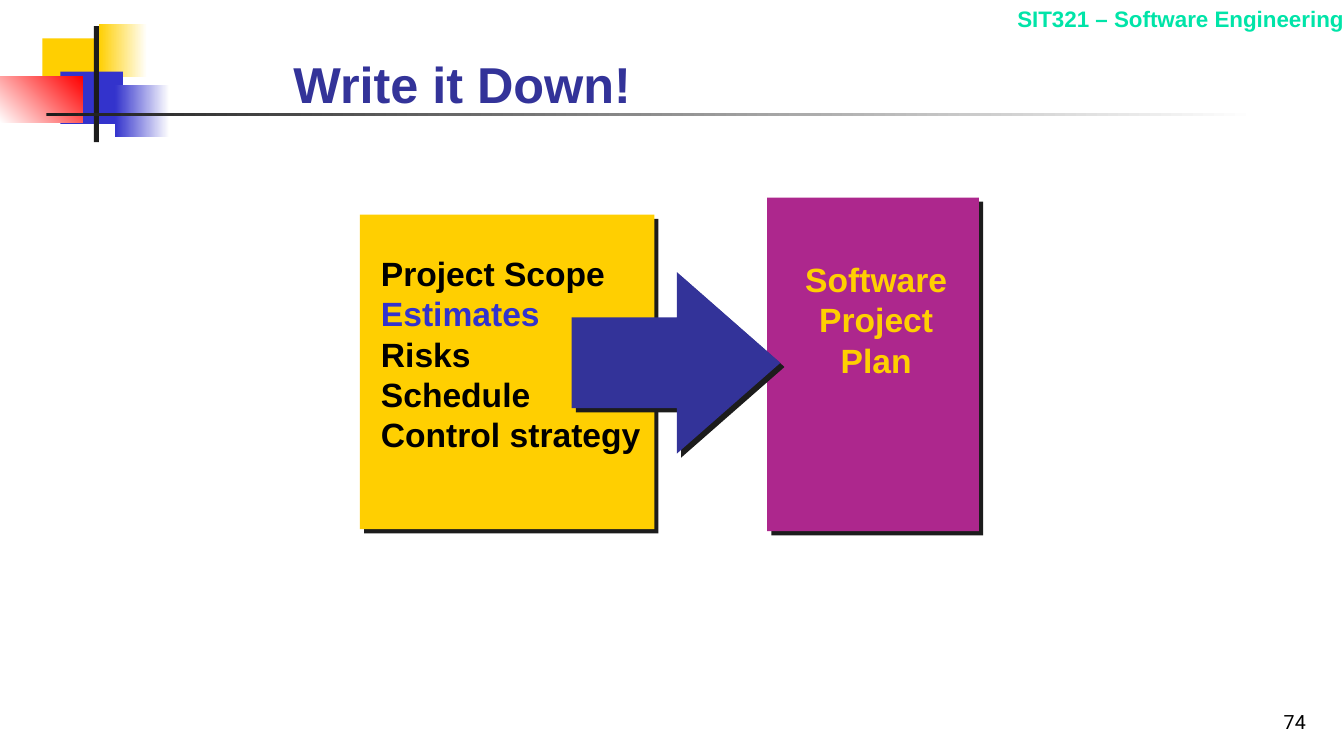
from dataclasses import dataclass

from lxml import etree
from pptx import Presentation
from pptx.dml.color import RGBColor
from pptx.enum.shapes import MSO_SHAPE
from pptx.enum.text import MSO_ANCHOR, MSO_AUTO_SIZE, PP_ALIGN
from pptx.oxml.ns import qn
from pptx.util import Inches, Pt

RECT, ARROW = MSO_SHAPE.RECTANGLE, MSO_SHAPE.RIGHT_ARROW
LEFT, MID, RIGHT = PP_ALIGN.LEFT, PP_ALIGN.CENTER, PP_ALIGN.RIGHT
TOP, BOTTOM = MSO_ANCHOR.TOP, MSO_ANCHOR.BOTTOM


@dataclass(frozen=True)
class Theme:
    font: str = "Arial"
    num_font: str = "Roboto"
    gold: str = "FFCF01"
    blue: str = "3333CC"
    navy: str = "333399"
    red: str = "FF0000"
    plum: str = "AD278D"
    mint: str = "00E4A8"
    ink: str = "1C1C1C"
    black: str = "000000"
    white: str = "FFFFFF"
    title: int = 36
    body: int = 24
    head: int = 16
    num: int = 14
    pitch: float = 28.8
    drop: float = 4.2


T = Theme()

TITLE = "Write it Down!"
COURSE = "SIT321 – Software Engineering"
PAGE = "74"
INPUTS = ["Project Scope", "Estimates", "Risks", "Schedule", "Control strategy"]
FOCUS = "Estimates"
RESULT = ["Software", "Project", "Plan"]

# Box, colours (one is plain, two fade from first to second), angle
DECOR = [
    ((0.42, 0.38, 0.64, 0.52), [T.gold], 0),
    ((0.98, 0.24, 0.48, 0.52), [T.gold, T.white], 0),
    ((0.6, 0.71, 0.62, 0.52), [T.blue], 0),
    ((1.14, 0.84, 0.54, 0.52), [T.blue, T.white], 0),
    ((0, 0.76, 0.82, 0.46), [T.white, T.red], 45),
    ((0.93, 0.26, 0.05, 1.15), [T.ink], 0),
    ((0.46, 1.12, 12, 0.03), [T.ink, T.white], 0),
]


def rgb(code):
    return RGBColor.from_string(code)


def add_block(slide, box, tones, angle=0, kind=RECT):
    block = slide.shapes.add_shape(kind, *map(Inches, box))
    block.shadow.inherit = False
    block.line.fill.background()
    if len(tones) == 1:
        block.fill.solid()
        block.fill.fore_color.rgb = rgb(tones[0])
    else:
        block.fill.gradient()
        block.fill.gradient_angle = angle
        for stop, tone in zip(block.fill.gradient_stops, tones):
            stop.color.rgb = rgb(tone)
    return block


def add_drop(block):
    """Give the block a hard shadow to the lower right."""
    effects = block._element.spPr.find(qn("a:effectLst"))
    drop = etree.SubElement(effects, qn("a:outerShdw"), blurRad="0",
                            dist=str(Pt(T.drop)), dir="2700000",
                            algn="ctr", rotWithShape="0")
    etree.SubElement(drop, qn("a:srgbClr"), val=T.ink)


def set_text(frame, lines, size, tone, align=LEFT, anchor=TOP, wrap=True,
             font=T.font, bold=True, pitch=None):
    frame.text = "\n".join(lines)
    frame.word_wrap = wrap
    frame.auto_size = MSO_AUTO_SIZE.NONE
    frame.vertical_anchor = anchor
    for para in frame.paragraphs:
        para.alignment = align
        if pitch:
            para.line_spacing = Pt(pitch)
        for run in para.runs:
            run.font.name = font
            run.font.size = Pt(size)
            run.font.bold = bold
            run.font.color.rgb = rgb(tone)


def add_label(slide, box, lines, size, tone, **look):
    label = slide.shapes.add_textbox(*map(Inches, box))
    set_text(label.text_frame, lines, size, tone, **look)
    return label


def add_title(slide):
    title = slide.shapes.title
    title.left, title.top, title.width, title.height = map(
        Inches, (2.81, 0.5, 4.09, 0.68))
    set_text(title.text_frame, [TITLE], T.title, T.navy, anchor=BOTTOM)


def add_flow(slide):
    """Draw the inputs, the plan and the arrow that joins them."""
    add_drop(add_block(slide, (7.61, 1.96, 2.1, 3.31), [T.plum]))
    add_label(slide, (7.88, 2.52, 1.62, 1.31), RESULT, T.body, T.gold,
              align=MID, wrap=False, pitch=T.pitch)

    add_drop(add_block(slide, (3.57, 2.13, 2.92, 3.12), [T.gold]))
    label = add_label(slide, (3.68, 2.46, 2.8, 2.12), INPUTS, T.body, T.black,
                      wrap=False, pitch=T.pitch)
    focus = label.text_frame.paragraphs[INPUTS.index(FOCUS)]
    focus.runs[0].font.color.rgb = rgb(T.blue)

    arrow = add_block(slide, (5.67, 2.7, 2.07, 1.8), [T.navy], kind=ARROW)
    arrow.adjustments[0] = 0.5
    arrow.adjustments[1] = 0.57
    add_drop(arrow)


def main():
    deck = Presentation()
    deck.slide_width, deck.slide_height = Inches(13.33), Inches(7.5)
    slide = deck.slides.add_slide(deck.slide_layouts[5])
    for box, tones, angle in DECOR:
        add_block(slide, box, tones, angle)
    add_label(slide, (8.03, 0, 5.3, 0.37), [COURSE], T.head, T.mint,
              align=RIGHT).text_frame.margin_right = 0
    add_label(slide, (10.27, 6.83, 2.78, 0.5), [PAGE], T.num, T.black,
              align=RIGHT, anchor=BOTTOM, font=T.num_font, bold=False)
    add_title(slide)
    add_flow(slide)
    deck.save("out.pptx")


if __name__ == "__main__":
    main()
